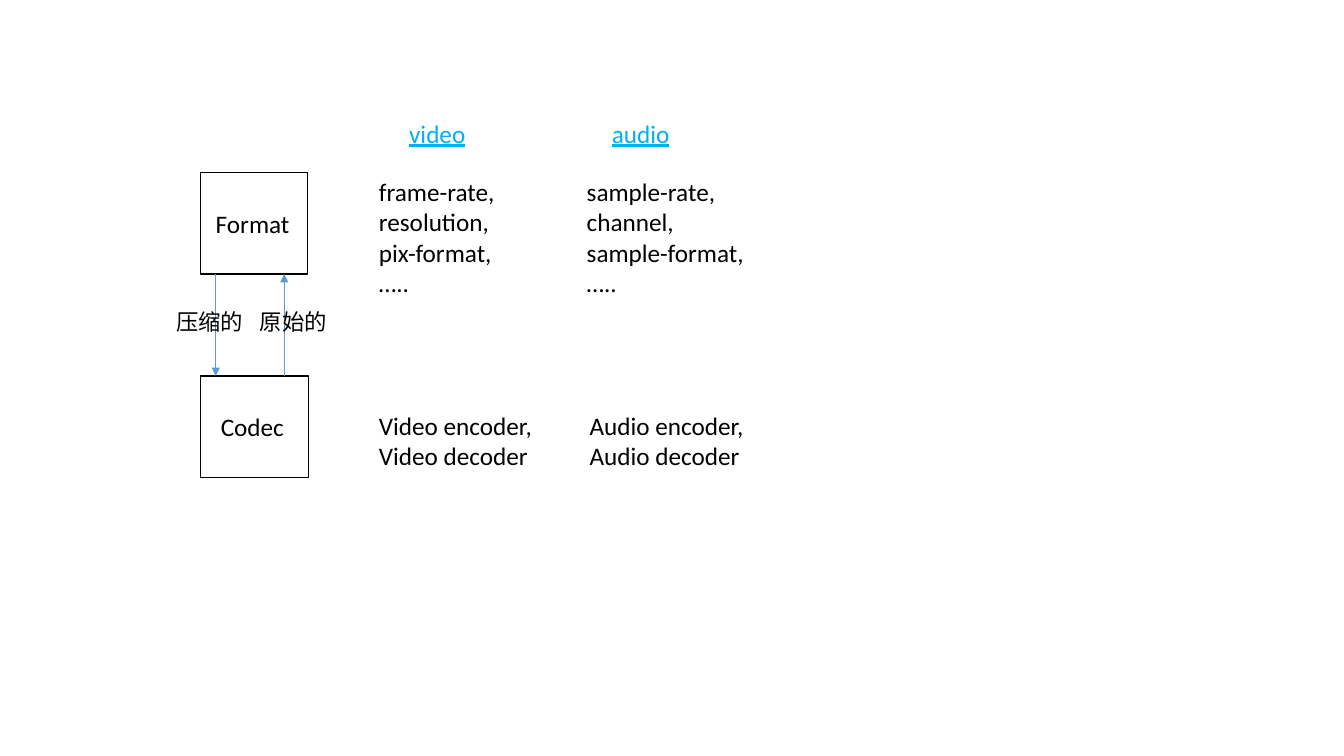
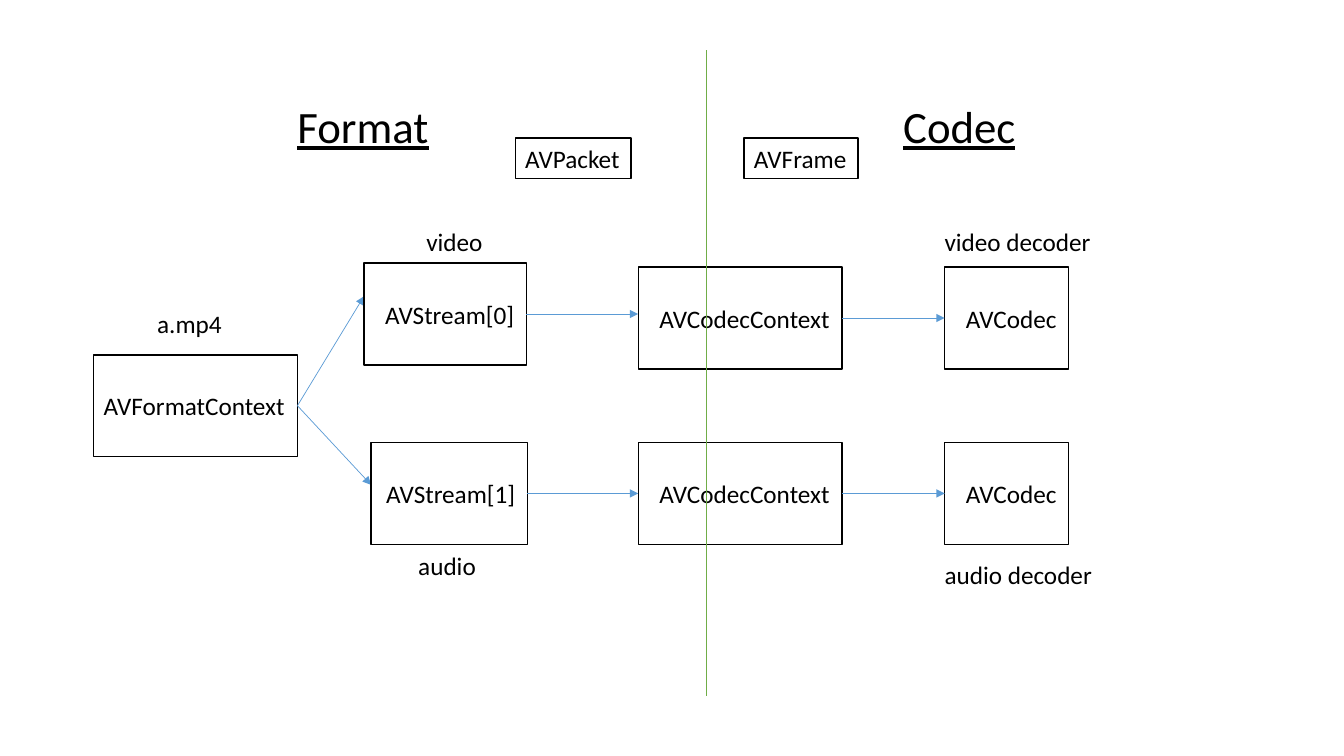
from dataclasses import dataclass

from lxml.etree import SubElement
from pptx import Presentation
from pptx.dml.color import RGBColor as Color
from pptx.enum.shapes import MSO_CONNECTOR as Connector
from pptx.enum.shapes import MSO_SHAPE as Preset
from pptx.enum.text import MSO_ANCHOR as Anchor
from pptx.enum.text import PP_ALIGN as Align
from pptx.oxml.ns import qn
from pptx.util import Inches, Pt


@dataclass(frozen=True)
class Theme:
    """Colours, type and line weights shared by the slides."""

    font: str = "Calibri"
    ink: str = "000000"
    paper: str = "FFFFFF"
    accent: str = "00B0F0"
    flow: str = "5B9BD5"
    divider: str = "70AD47"
    body: int = 18
    note: int = 16
    heading: int = 32
    border: float = 1
    hairline: float = 0.5
    inset: float = 0.1
    node_height: float = 1.01
    label_height: float = 0.4


@dataclass(frozen=True)
class Box:
    """A rectangle in inches."""

    left: float
    top: float
    width: float
    height: float

    @property
    def right(self):
        """Return the right edge."""
        return self.left + self.width

    @property
    def bottom(self):
        """Return the bottom edge."""
        return self.top + self.height

    @property
    def middle(self):
        """Return the vertical centre."""
        return self.top + self.height / 2

    def inches(self):
        """Return the four lengths for python-pptx."""
        return [Inches(n) for n in (self.left, self.top, self.width, self.height)]


THEME = Theme()


def write(shape, text, size=THEME.body, color=THEME.ink, underline=False,
          inset=THEME.inset, anchor=Anchor.TOP):
    """Fill a shape with text, one paragraph for each line."""
    frame = shape.text_frame
    frame.word_wrap = True
    frame.vertical_anchor = anchor
    frame.margin_left, frame.margin_right = Inches(inset), 0
    frame.text = text
    for para in frame.paragraphs:
        para.alignment = Align.LEFT
        for span in para.runs:
            span.font.name = THEME.font
            span.font.size = Pt(size)
            span.font.underline = underline
            span.font.color.rgb = Color.from_string(color)


def label(page, box, text, **style):
    """Place plain text in a box."""
    write(page.shapes.add_textbox(*box.inches()), text, **style)


def node(page, box, text, **style):
    """Place a white outlined rectangle with text."""
    shape = page.shapes.add_shape(Preset.RECTANGLE, *box.inches())
    shape.shadow.inherit = False
    shape.fill.solid()
    shape.fill.fore_color.rgb = Color.from_string(THEME.paper)
    shape.line.color.rgb = Color.from_string(THEME.ink)
    shape.line.width = Pt(THEME.border)
    write(shape, text, anchor=Anchor.MIDDLE, **style)


def connect(page, start, end, color=THEME.flow, arrow=True):
    """Draw a thin line between two points, with an optional arrowhead."""
    ends = [Inches(n) for n in (*start, *end)]
    line = page.shapes.add_connector(Connector.STRAIGHT, *ends)
    line.line.color.rgb = Color.from_string(color)
    line.line.width = Pt(THEME.hairline)
    if arrow:
        SubElement(line.line._get_or_add_ln(), qn("a:tailEnd"), type="triangle")
    SubElement(line._element.spPr, qn("a:effectLst"))


def conversion(page, box):
    """Stack Format over Codec with an arrow each way between them."""
    upper = Box(box.left, box.top, 1.06, THEME.node_height)
    lower = Box(box.left, box.bottom - THEME.node_height, 1.07, THEME.node_height)
    node(page, upper, "Format", inset=0.15)
    node(page, lower, "Codec", inset=0.2)
    down, up = box.left + 0.15, box.left + 0.83
    connect(page, (down, upper.bottom), (down, lower.top))
    connect(page, (up, lower.top), (up, upper.bottom))
    for offset, text in ((-0.34, "压缩的"), (0.49, "原始的")):
        caption = Box(box.left + offset, upper.bottom + 0.29, 0.88, 0.37)
        label(page, caption, text, size=THEME.note)


def media_column(page, box, heading, indent, details, coders, shift=0):
    """List the format details and the coders of one medium."""
    label(page, Box(box.left + indent, box.top, 0.8, THEME.label_height),
          heading, color=THEME.accent, underline=True)
    label(page, Box(box.left, box.top + 0.58, box.width, 1.31), details)
    label(page, Box(box.left + shift, box.bottom - 0.71, box.width, 0.71), coders)


def source_file(page, box, targets):
    """Draw the input file's context and its arrows to the streams."""
    label(page, Box(box.left + 0.53, box.top - 0.51, 0.85, THEME.label_height),
          "a.mp4")
    node(page, box, "AVFormatContext")
    for target in targets:
        connect(page, (box.right, box.middle), target)


def decoding_row(page, box, stream, number, inset):
    """Chain a stream, its codec context and its codec."""
    context = Box(box.left, box.top, 2.02, box.height)
    codec = Box(box.right - 1.23, box.top, 1.23, box.height)
    node(page, stream, f"AVStream[{number}]", inset=inset)
    node(page, context, "AVCodecContext", inset=0.21)
    node(page, codec, "AVCodec", inset=0.21)
    connect(page, (stream.right, stream.middle), (context.left, stream.middle))
    connect(page, (context.right, context.middle), (codec.left, codec.middle))


def section(page, box, heading, data_box, data_type):
    """Head one half of the diagram and name its data type."""
    label(page, box, heading, size=THEME.heading, underline=True)
    node(page, data_box, data_type)


def overview(page):
    """Build the slide comparing Format and Codec."""
    conversion(page, Box(1.99, 1.71, 1.07, 3.03))
    media_column(page, Box(3.66, 1.12, 1.85, 3.61), "video", 0.3,
                 "frame-rate,\nresolution,\npix-format,\n…..",
                 "Video encoder,\nVideo decoder")
    media_column(page, Box(5.72, 1.12, 1.85, 3.61), "audio", 0.25,
                 "sample-rate,\nchannel,\nsample-format,\n…..",
                 "Audio encoder,\nAudio decoder", shift=0.03)


def pipeline(page):
    """Build the slide tracing a file through to its decoders."""
    height = THEME.node_height
    video = Box(3.61, 2.61, 1.61, height)
    audio = Box(3.68, 4.39, 1.55, height)
    source_file(page, Box(0.93, 3.52, 2.02, height),
                ((video.left, 2.94), (audio.left, 4.81)))
    decoding_row(page, Box(6.33, 2.65, 4.27, height), video, 0, 0.21)
    decoding_row(page, Box(6.33, 4.39, 4.27, height), audio, 1, 0.15)
    connect(page, (7.01, 0.5), (7.01, 6.9), color=THEME.divider, arrow=False)
    section(page, Box(2.85, 0.93, 1.52, 0.64), "Format",
            Box(5.11, 1.37, 1.15, THEME.label_height), "AVPacket")
    section(page, Box(8.86, 0.93, 1.33, 0.64), "Codec",
            Box(7.38, 1.37, 1.13, THEME.label_height), "AVFrame")
    for left, top, text in ((4.13, 2.2, "video"), (4.05, 5.41, "audio"),
                            (9.27, 2.2, "video decoder"),
                            (9.27, 5.5, "audio decoder")):
        label(page, Box(left, top, 1.73, THEME.label_height), text)


def main():
    """Build and save the deck."""
    deck = Presentation()
    deck.slide_width, deck.slide_height = Inches(13.33), Inches(7.5)
    blank = deck.slide_layouts.get_by_name("Blank")
    for build in (overview, pipeline):
        build(deck.slides.add_slide(blank))
    deck.save("out.pptx")


main()
